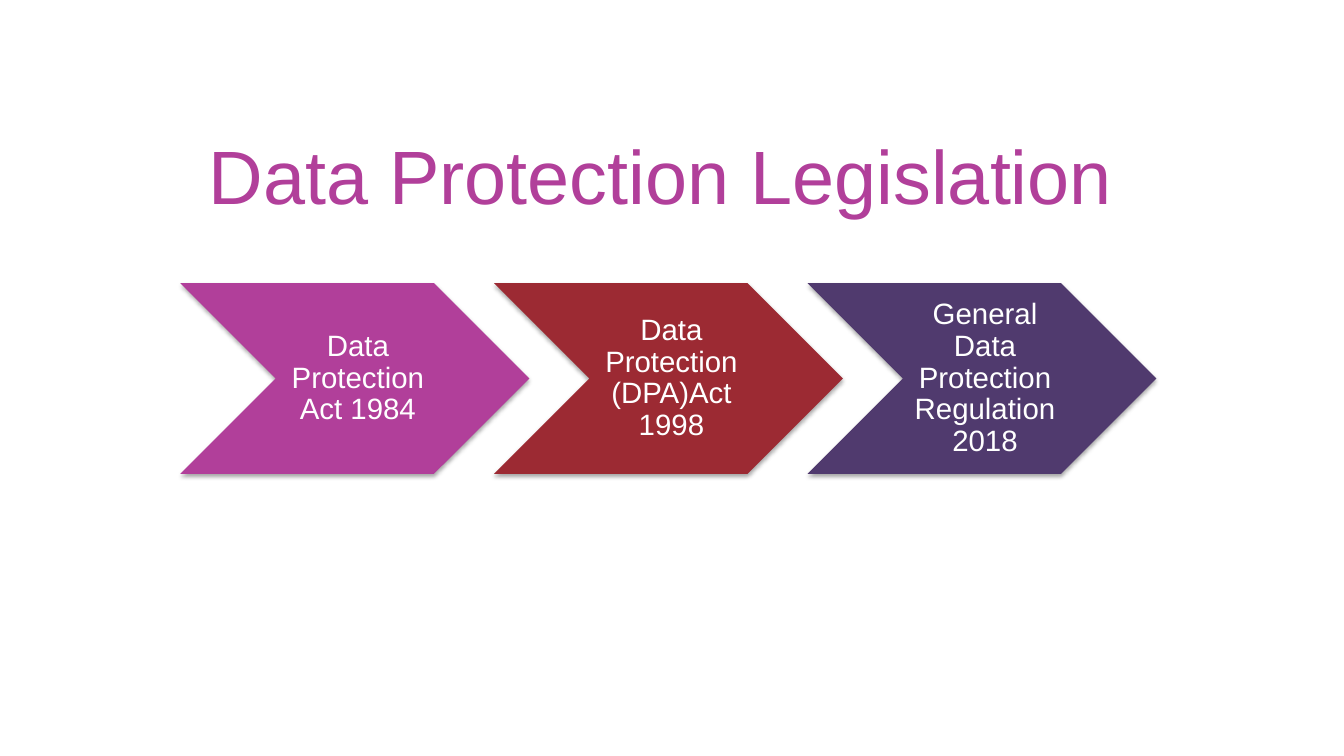
from lxml import etree
from pptx import Presentation
from pptx.dml.color import RGBColor
from pptx.enum.shapes import MSO_SHAPE as Shape
from pptx.enum.text import MSO_ANCHOR as Anchor, MSO_AUTO_SIZE as AutoSize, PP_ALIGN as Align
from pptx.oxml.ns import qn
from pptx.util import Inches, Pt

COLORS = {
    "pink": "B13F9A",
    "red": "9C2A33",
    "purple": "503A6E",
    "white": "FFFFFF",
    "shadow": "000000",
}
TITLE = "Data Protection Legislation"
ACTS = [
    ("Data Protection Act 1984", "pink"),
    ("Data Protection (DPA)Act 1998", "red"),
    ("General Data Protection Regulation 2018", "purple"),
]
LEFT, TOP, WIDTH, HEIGHT, STEP = 1.79, 2.81, 3.46, 1.89, 3.11


def color(name):
    return RGBColor.from_string(COLORS[name])


def style_font(para, size, name):
    for span in para.runs:
        span.font.name = "Arial"
        span.font.size = Pt(size)
        span.font.color.rgb = color(name)


def add_shadow(shape):
    shape.shadow.inherit = False
    effects = shape._element.spPr.find(qn("a:effectLst"))
    outer = etree.SubElement(
        effects, qn("a:outerShdw"), blurRad=str(Pt(3.1)), dist=str(Pt(1.8)),
        dir="5400000", rotWithShape="0")
    tint = etree.SubElement(outer, qn("a:srgbClr"), val=COLORS["shadow"])
    etree.SubElement(tint, qn("a:alpha"), val="35000")


def add_title(page):
    title = page.shapes.title
    title.left, title.top = Inches(1.97), Inches(1.23)
    title.width, title.height = Inches(9.37), Inches(1.01)
    frame = title.text_frame
    frame.text = TITLE
    frame.word_wrap = True
    frame.auto_size = AutoSize.SHAPE_TO_FIT_TEXT
    frame.vertical_anchor = Anchor.TOP
    para = frame.paragraphs[0]
    para.alignment = Align.LEFT
    style_font(para, 54, "pink")


def add_chevron(page, index, text, fill):
    chevron = page.shapes.add_shape(
        Shape.CHEVRON, Inches(LEFT + index * STEP), Inches(TOP),
        Inches(WIDTH), Inches(HEIGHT))
    chevron.fill.solid()
    chevron.fill.fore_color.rgb = color(fill)
    chevron.line.fill.background()
    add_shadow(chevron)
    frame = chevron.text_frame
    frame.text = text
    frame.word_wrap = True
    frame.vertical_anchor = Anchor.MIDDLE
    frame.margin_left = Inches(0.09)
    frame.margin_top = frame.margin_right = frame.margin_bottom = Inches(0.03)
    para = frame.paragraphs[0]
    para.alignment = Align.CENTER
    para.line_spacing = 0.9
    style_font(para, 21, "white")


def main():
    deck = Presentation()
    deck.slide_width, deck.slide_height = Inches(13.33), Inches(7.5)
    page = deck.slides.add_slide(deck.slide_layouts[5])
    page.background.fill.solid()
    page.background.fill.fore_color.rgb = color("white")
    for index, (text, fill) in enumerate(ACTS):
        add_chevron(page, index, text, fill)
    add_title(page)
    deck.save("out.pptx")


if __name__ == "__main__":
    main()
